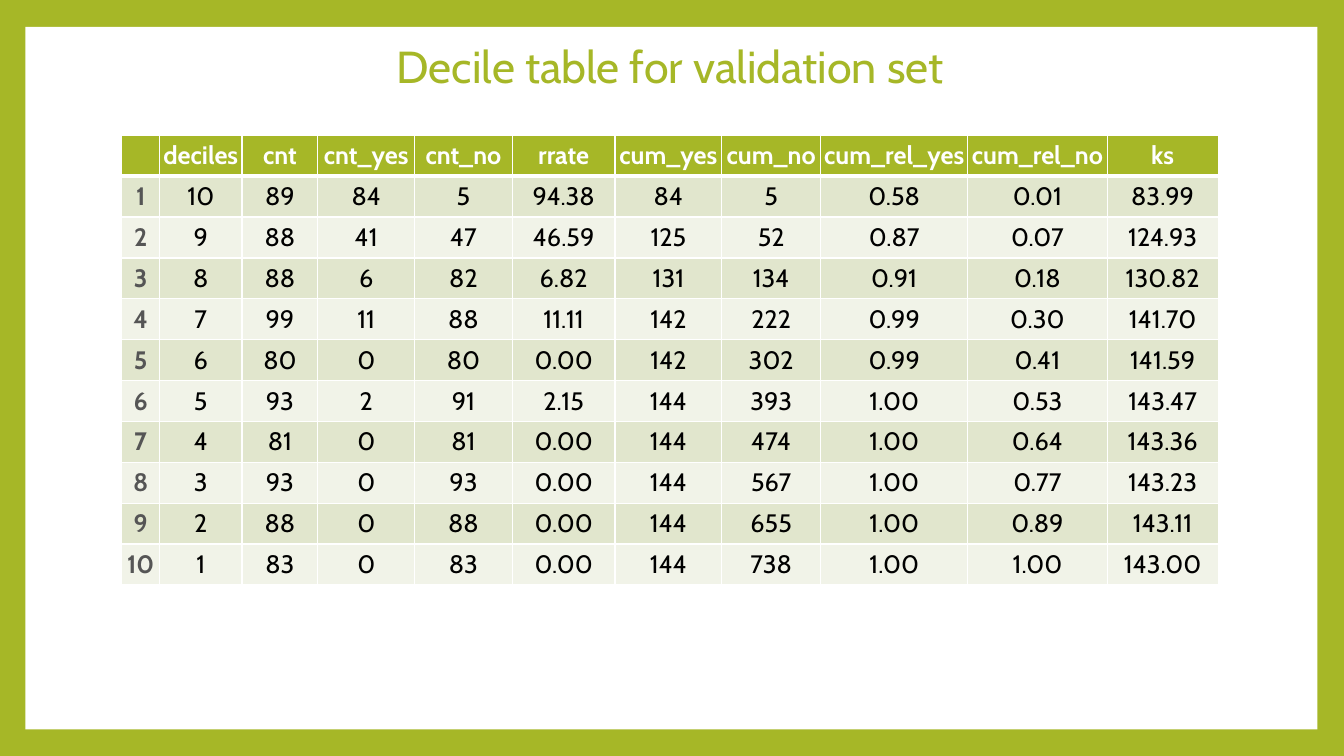
from dataclasses import dataclass

from lxml import etree
from pptx import Presentation
from pptx.dml.color import RGBColor
from pptx.enum import shapes, text
from pptx.oxml.ns import qn
from pptx.slide import Slide
from pptx.table import _Cell
from pptx.util import Cm, Pt

COLOURS = {
    "green": "A6B727",
    "white": "FFFFFF",
    "dark_band": "E1E6CD",
    "light_band": "F1F3E8",
    "grey": "555555",
    "black": "000000",
}
FONT = "Cabin"
ROW_HEIGHT = Cm(1.03)
COLUMN_WIDTHS = [0.95, 2.08, 1.91, 2.44, 2.46, 2.59, 2.69, 2.49, 3.71, 3.51, 2.8]
HEADINGS = ["", "deciles", "cnt", "cnt_yes", "cnt_no", "rrate", "cum_yes",
            "cum_no", "cum_rel_yes", "cum_rel_no", "ks"]
DECILES = """
1 10 89 84 5 94.38 84 5 0.58 0.01 83.99
2 9 88 41 47 46.59 125 52 0.87 0.07 124.93
3 8 88 6 82 6.82 131 134 0.91 0.18 130.82
4 7 99 11 88 11.11 142 222 0.99 0.30 141.70
5 6 80 0 80 0.00 142 302 0.99 0.41 141.59
6 5 93 2 91 2.15 144 393 1.00 0.53 143.47
7 4 81 0 81 0.00 144 474 1.00 0.64 143.36
8 3 93 0 93 0.00 144 567 1.00 0.77 143.23
9 2 88 0 88 0.00 144 655 1.00 0.89 143.11
10 1 83 0 83 0.00 144 738 1.00 1.00 143.00
"""


@dataclass(frozen=True)
class CellLook:
    fill: str
    colour: str
    bold: bool = False
    rule: float = 1


def rgb(name: str) -> RGBColor:
    return RGBColor.from_string(COLOURS[name])


def apply(target: object, values: dict) -> None:
    for name, value in values.items():
        setattr(target, name, value)


def look_at(row: int, column: int) -> CellLook:
    if row == 0:
        return CellLook("green", "white", True, 3)
    band = "dark_band" if row % 2 else "light_band"
    if column == 0:
        return CellLook(band, "grey", True)
    return CellLook(band, "black")


def add_borders(cell: _Cell, bottom: float) -> None:
    properties = cell._tc.get_or_add_tcPr()
    for side, width in (("lnL", 1), ("lnR", 1), ("lnB", bottom)):
        line = etree.SubElement(properties, qn(f"a:{side}"), w=str(Pt(width)))
        fill = etree.SubElement(line, qn("a:solidFill"))
        etree.SubElement(fill, qn("a:srgbClr"), val=COLOURS["white"])


def format_cell(cell: _Cell, words: str, look: CellLook) -> None:
    add_borders(cell, look.rule)
    cell.fill.solid()
    cell.fill.fore_color.rgb = rgb(look.fill)
    margins = {f"margin_{side}": Cm(0.08) for side in ("left", "right", "top", "bottom")}
    apply(cell, margins | {"vertical_anchor": text.MSO_ANCHOR.MIDDLE})
    if not words:
        return
    para = cell.text_frame.paragraphs[0]
    para.alignment = text.PP_ALIGN.CENTER
    span = para.add_run()
    span.text = words
    apply(span.font, {"name": FONT, "size": Pt(18), "bold": look.bold})
    span.font.color.rgb = rgb(look.colour)


def add_title(page: Slide, words: str) -> None:
    title = page.shapes.title
    apply(title, {"left": Cm(3.18), "top": Cm(0.81), "width": Cm(27.43), "height": Cm(1.88)})
    apply(title.text_frame, {"text": words, "word_wrap": True,
                             "vertical_anchor": text.MSO_ANCHOR.MIDDLE})
    para = title.text_frame.paragraphs[0]
    apply(para, {"alignment": text.PP_ALIGN.CENTER, "line_spacing": 0.9})
    apply(para.runs[0].font, {"name": FONT, "size": Pt(32)})
    para.runs[0].font.color.rgb = rgb("green")


def add_panel(page: Slide) -> None:
    """Put the white panel behind the title, leaving a green frame."""
    panel = page.shapes.add_shape(shapes.MSO_SHAPE.RECTANGLE,
                                  Cm(0.64), Cm(0.68), Cm(32.56), Cm(17.7))
    panel.shadow.inherit = False
    panel.fill.solid()
    panel.fill.fore_color.rgb = rgb("white")
    panel.line.fill.background()
    page.shapes.title.element.addprevious(panel.element)


def add_decile_table(page: Slide) -> None:
    rows = [HEADINGS] + [line.split() for line in DECILES.strip().splitlines()]
    frame = page.shapes.add_table(len(rows), len(HEADINGS), Cm(3.07), Cm(3.41),
                                  Cm(sum(COLUMN_WIDTHS)), ROW_HEIGHT * len(rows))
    table = frame.table
    for column, width in zip(table.columns, COLUMN_WIDTHS):
        column.width = Cm(width)
    for r, values in enumerate(rows):
        table.rows[r].height = ROW_HEIGHT
        for c, words in enumerate(values):
            format_cell(table.cell(r, c), words, look_at(r, c))


def main() -> None:
    deck = Presentation()
    apply(deck, {"slide_width": Cm(33.87), "slide_height": Cm(19.05)})
    page = deck.slides.add_slide(deck.slide_layouts.get_by_name("Title Only"))
    page.background.fill.solid()
    page.background.fill.fore_color.rgb = rgb("green")
    add_title(page, "Decile table for validation set")
    add_panel(page)
    add_decile_table(page)
    deck.save("out.pptx")


if __name__ == "__main__":
    main()
